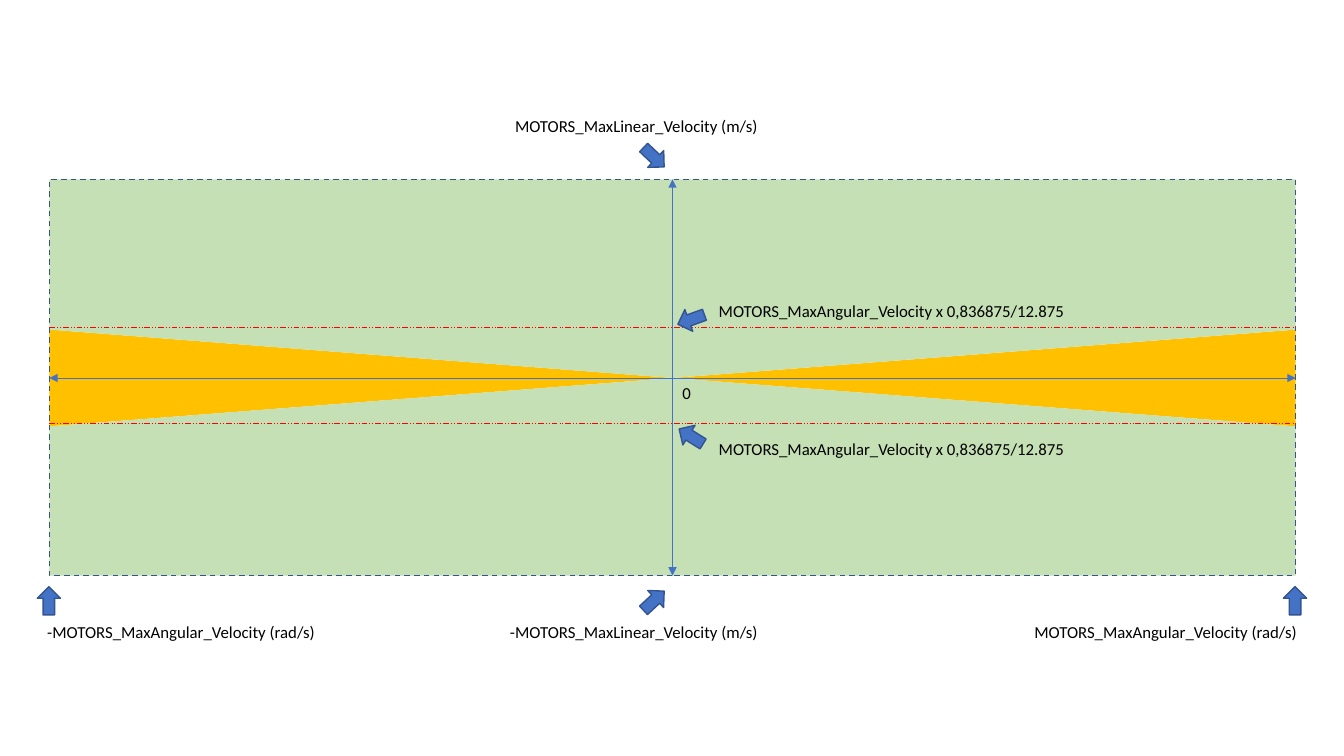
from lxml.etree import SubElement
from pptx import Presentation
from pptx.dml.color import RGBColor
from pptx.enum.dml import MSO_LINE_DASH_STYLE as DASH
from pptx.enum.shapes import MSO_CONNECTOR, MSO_SHAPE
from pptx.oxml.ns import qn
from pptx.util import Inches, Pt

COLORS = {"text": "000000", "axis": "4472C4", "border": "325491",
          "limit": "FF0000", "allowed": "C5E0B4", "turning": "FFC000"}
LEFT, RIGHT, TOP, BOTTOM = 0.49, 12.85, 1.78, 5.71
CX, CY = 6.67, 3.75
SPREAD = 0.48
LIMITS = (3.25, 4.2)
ARROW_W, ARROW_H = 0.23, 0.28
LABEL_H, LABEL_ROW, ARROW_ROW = 0.3, 6.12, 5.82
RATIO = "MOTORS_MaxAngular_Velocity x 0,836875/12.875"

LABELS = [
    ("MOTORS_MaxLinear_Velocity (m/s)", 5.01, 1.1, 2.67),
    ("-MOTORS_MaxLinear_Velocity (m/s)", 4.96, LABEL_ROW, 2.73),
    ("0", CX, CY, 0.43),
    ("MOTORS_MaxAngular_Velocity (rad/s)", 10.16, LABEL_ROW, 2.98),
    ("-MOTORS_MaxAngular_Velocity (rad/s)", 0.37, LABEL_ROW, 2.98),
    (RATIO, 7.03, 2.93, 4.07),
    (RATIO, 7.03, 4.3, 4.07),
]
ARROWS = [
    (12.73, ARROW_ROW, 0), (0.37, ARROW_ROW, 0), (6.37, ARROW_ROW, 47.1),
    (6.37, 1.42, 133.5), (6.74, 3.03, 250.2), (6.74, 4.19, 301.9),
]


def rgb(name):
    return RGBColor.from_string(COLORS[name])


def paint(sp, fill=None, line=None):
    sp.shadow.inherit = False
    if fill:
        sp.fill.solid()
        sp.fill.fore_color.rgb = rgb(fill)
    else:
        sp.fill.background()
    if line:
        sp.line.color.rgb = rgb(line)
        sp.line.width = Pt(1)
    else:
        sp.line.fill.background()


def add_preset(shapes, kind, x, y, w, h, rotation=0, fill=None, line=None):
    sp = shapes.add_shape(kind, Inches(x), Inches(y), Inches(w), Inches(h))
    sp.rotation = rotation
    paint(sp, fill, line)
    return sp


def add_line(shapes, x1, y1, x2, y2, color, dash=None, arrows=False):
    line = shapes.add_connector(MSO_CONNECTOR.STRAIGHT, Inches(x1), Inches(y1),
                                Inches(x2), Inches(y2))
    line.line.color.rgb = rgb(color)
    line.line.width = Pt(0.5)
    if dash:
        line.line.dash_style = dash
    if arrows:
        ln = line.line._get_or_add_ln()
        for end in ("a:headEnd", "a:tailEnd"):
            SubElement(ln, qn(end), type="triangle")
    SubElement(line._element.spPr, qn("a:effectLst"))


def add_label(shapes, text, x, y, w):
    tf = shapes.add_textbox(Inches(x), Inches(y), Inches(w), Inches(LABEL_H)).text_frame
    tf.word_wrap = True
    p = tf.paragraphs[0]
    p.text = text
    p.font.name = "Calibri"
    p.font.size = Pt(12)
    p.font.color.rgb = rgb("text")


def main():
    prs = Presentation()
    prs.slide_width, prs.slide_height = Inches(13.33), Inches(7.5)
    shapes = prs.slides.add_slide(prs.slide_layouts[6]).shapes

    half = CX - LEFT
    for center, rotation in ((LEFT + half / 2, 90), (RIGHT - half / 2, 270)):
        add_preset(shapes, MSO_SHAPE.ISOSCELES_TRIANGLE, center - SPREAD,
                   CY - half / 2, 2 * SPREAD, half, rotation, "turning")

    for edge, side in ((BOTTOM, 1), (TOP, -1)):
        slope_end = CY + side * SPREAD
        corners = [(RIGHT, slope_end), (RIGHT, edge), (LEFT, edge), (LEFT, slope_end)]
        outline = shapes.build_freeform(Inches(CX), Inches(CY))
        outline.add_line_segments([(Inches(x), Inches(y)) for x, y in corners])
        paint(outline.convert_to_shape(), "allowed")

    add_line(shapes, CX, TOP, CX, BOTTOM, "axis", arrows=True)
    add_line(shapes, LEFT, CY, RIGHT, CY, "axis", arrows=True)

    border = add_preset(shapes, MSO_SHAPE.RECTANGLE, LEFT, TOP, RIGHT - LEFT,
                        BOTTOM - TOP, line="border")
    border.line.dash_style = DASH.DASH
    for y in LIMITS:
        add_line(shapes, LEFT, y, RIGHT, y, "limit", DASH.DASH_DOT_DOT)

    for x, y, rotation in ARROWS:
        add_preset(shapes, MSO_SHAPE.UP_ARROW, x, y, ARROW_W, ARROW_H,
                   rotation, "axis", "border")
    for label in LABELS:
        add_label(shapes, *label)

    prs.save("out.pptx")


if __name__ == "__main__":
    main()
